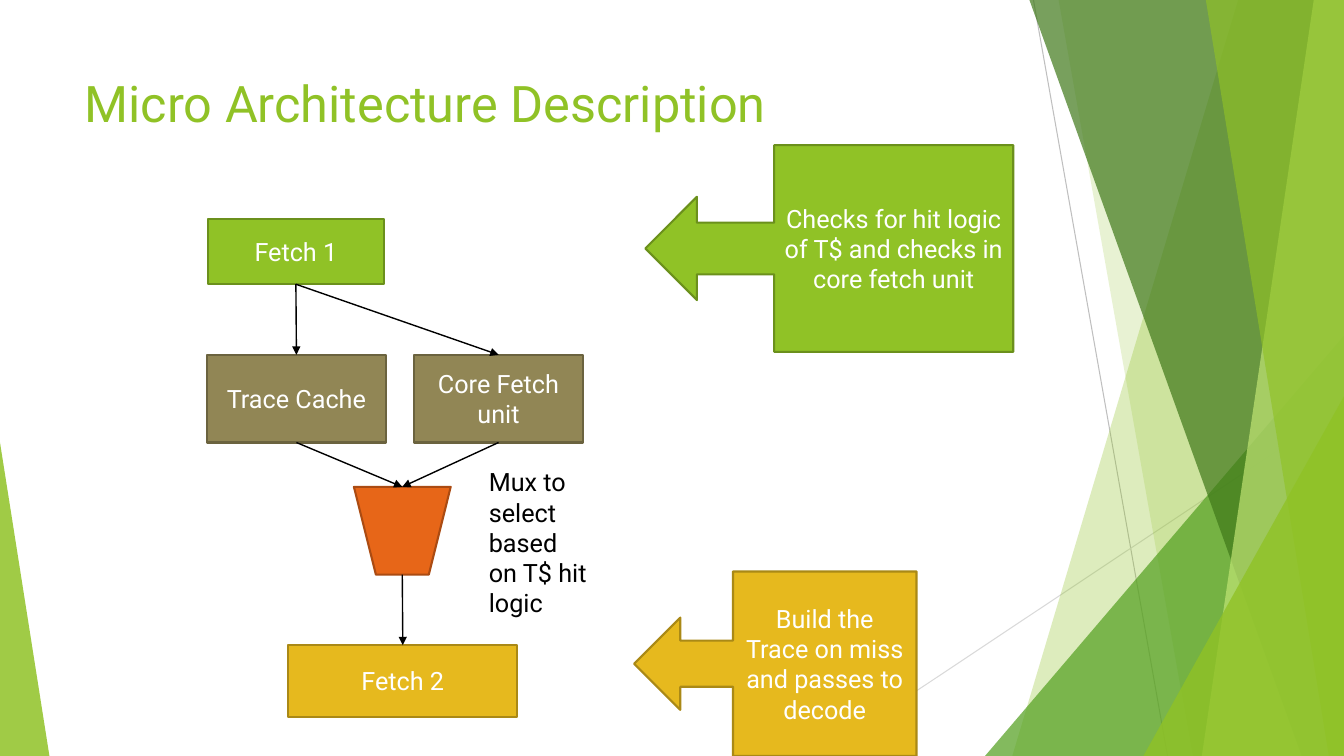
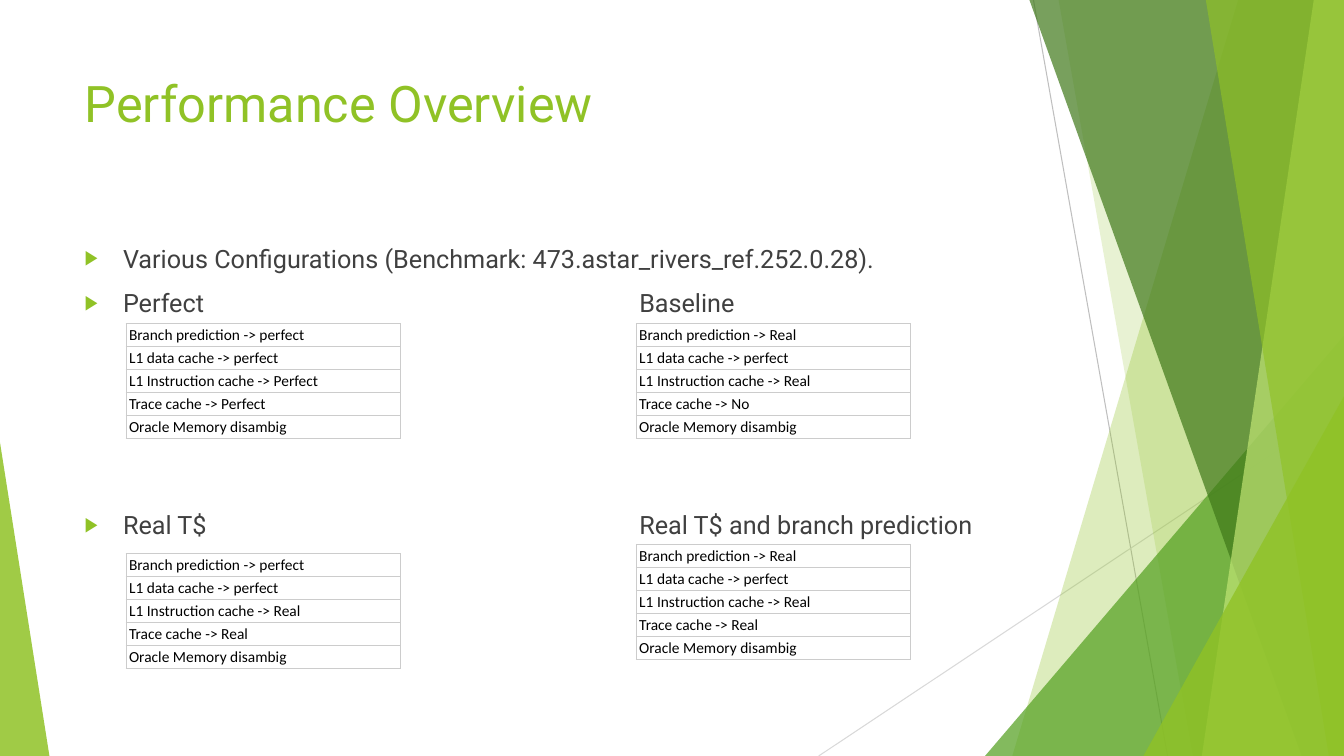
from lxml.etree import SubElement
from pptx import Presentation
from pptx.dml.color import RGBColor
from pptx.enum.shapes import MSO_CONNECTOR, MSO_SHAPE
from pptx.enum.text import MSO_ANCHOR, MSO_AUTO_SIZE, PP_ALIGN
from pptx.oxml.ns import qn
from pptx.util import Inches, Pt

STRAIGHT = MSO_CONNECTOR.STRAIGHT
RECTANGLE = MSO_SHAPE.RECTANGLE
TRAPEZOID = MSO_SHAPE.TRAPEZOID
CALLOUT = MSO_SHAPE.LEFT_ARROW_CALLOUT
TRIANGLE = MSO_SHAPE.ISOSCELES_TRIANGLE
TOP, MIDDLE, BOTTOM = MSO_ANCHOR.TOP, MSO_ANCHOR.MIDDLE, MSO_ANCHOR.BOTTOM
LEFT, CENTER = PP_ALIGN.LEFT, PP_ALIGN.CENTER
NO_AUTOFIT = MSO_AUTO_SIZE.NONE

WIDTH, HEIGHT = 13.33, 7.5
TITLE_ONLY, TITLE_AND_CONTENT = 5, 1
TOP_SITE, BOTTOM_SITE = 0, 2
FONT, TABLE_FONT = "Roboto", "Calibri"
GREEN, WHITE, BLACK, BODY_GREY = "90C226", "FFFFFF", "000000", "404040"
BORDER_GREY = "CCCCCC"

# fill and outline of the diagram shapes
LIME = (GREEN, "6B901C")
OLIVE = ("918655", "6B633F")
ORANGE = ("E76618", "AB4B12")
GOLD = ("E6B91E", "AA8916")

# Backdrop, from back to front
HAIRLINES = [  # start, end, colour
    ((10.25, 0), (11.58, HEIGHT), "BFBFBF"),
    ((WIDTH, 4.03), (8.12, HEIGHT), "D9D9D9"),
]
FACETS = [  # bands: top x, bottom x; triangles: place and apex; colour, opacity %
    ("band", (12.28, 10.04), GREEN, 30),
    ("band", (10.5, 11.83), GREEN, 20),
    ("triangle", (9.77, 3.33, 3.56, 4.17, 1), "54A021", 72),
    ("band", (10.21, 12.91), "3F7819", 70),
    ("band", (13.03, 11.92), "C0E474", 70),
    ("band", (11.96, 13.18), GREEN, 65),
    ("triangle", (11.34, 3.93, 1.99, 3.57, 1), GREEN, 80),
    ("triangle", (0, 4.39, 0.49, 3.11, 0), GREEN, 85),
]

STAGES = {  # shape, place, colours, text
    "fetch 1": (RECTANGLE, (2.06, 2.17, 1.75, 0.65), LIME, "Fetch 1"),
    "trace cache": (RECTANGLE, (2.05, 3.52, 1.78, 0.87), OLIVE, "Trace Cache"),
    "core fetch": (RECTANGLE, (4.11, 3.52, 1.67, 0.87), OLIVE, "Core Fetch unit"),
    "mux": (TRAPEZOID, (3.51, 4.83, 0.96, 0.87), ORANGE, ""),
    "fetch 2": (RECTANGLE, (2.86, 6.4, 2.27, 0.71), GOLD, "Fetch 2"),
}
FLOWS = [
    ("fetch 1", "trace cache"),
    ("fetch 1", "core fetch"),
    ("trace cache", "mux"),
    ("core fetch", "mux"),
    ("mux", "fetch 2"),
]
MUX_NOTE = "Mux to select based on T$ hit logic"
CALLOUTS = [
    (CALLOUT, (6.4, 1.44, 3.65, 2.05), LIME,
     "Checks for hit logic of T$ and checks in core fetch unit"),
    (CALLOUT, (6.29, 5.67, 2.8, 1.83), GOLD,
     "Build the Trace on miss and passes to decode"),
]

BULLETS = [  # text, space before in points
    ("Various Configurations (Benchmark: 473.astar_rivers_ref.252.0.28).", 10),
    ("Perfect\tBaseline", 10),
    ("Real T$\tReal T$ and branch prediction", 137),
]
SETTINGS = ["Branch prediction -> {}", "L1 data cache -> {}",
            "L1 Instruction cache -> {}", "Trace cache -> {}",
            "Oracle Memory disambig"]
CONFIGURATIONS = [  # left, top, value of each setting
    (1.25, 3.21, ("perfect", "perfect", "Perfect", "Perfect", "")),
    (1.25, 5.49, ("perfect", "perfect", "Real", "Real", "")),
    (6.31, 3.21, ("Real", "perfect", "Real", "No", "")),
    (6.31, 5.4, ("Real", "perfect", "Real", "Real", "")),
]
TABLE_WIDTH, ROW_HEIGHT = 2.72, 0.22


def rgb(colour):
    return RGBColor.from_string(colour)


def inches(values):
    return [Inches(value) for value in values]


def style(para, size, colour, align=LEFT, font=FONT):
    para.alignment = align
    para.font.size = Pt(size)
    para.font.name = font
    para.font.color.rgb = rgb(colour)


def place(shape, position):
    shape.left, shape.top, shape.width, shape.height = inches(position)


def add_line(slide, start, end, colour, width):
    """Draw a shadowless straight line between two points in EMU."""
    line = slide.shapes.add_connector(STRAIGHT, *start, *end)
    line.line.color.rgb = rgb(colour)
    line.line.width = Pt(width)
    SubElement(line.element.spPr, qn("a:effectLst"))
    return line


def add_facet(slide, kind, geometry, colour, opacity):
    if kind == "band":
        top_x, bottom_x = geometry
        corners = [(top_x, 0), (WIDTH, 0), (WIDTH, HEIGHT), (bottom_x, HEIGHT)]
        points = [inches(corner) for corner in corners]
        builder = slide.shapes.build_freeform(*points[0], scale=1.0)
        builder.add_line_segments(points[1:], close=True)
        facet = builder.convert_to_shape()
    else:
        *position, apex = geometry
        facet = slide.shapes.add_shape(TRIANGLE, *inches(position))
        facet.adjustments[0] = apex
    facet.shadow.inherit = False
    facet.line.fill.background()
    facet.fill.solid()
    facet.fill.fore_color.rgb = rgb(colour)
    tint = facet.element.spPr.find(".//" + qn("a:srgbClr"))
    SubElement(tint, qn("a:alpha"), val=str(opacity * 1000))
    return facet


def move_backdrop_to_master(deck, slide):
    """Build the backdrop with the slide's drawing methods, then hang it on the master."""
    parts = [add_line(slide, inches(start), inches(end), colour, 0.75)
             for start, end, colour in HAIRLINES]
    parts += [add_facet(slide, *facet) for facet in FACETS]
    tree = deck.slide_master.element.cSld.spTree
    for index, part in enumerate(parts):
        part.element.xpath(".//p:cNvPr")[0].set("id", str(100 + index))
        tree.insert(2 + index, part.element)


def add_slide(deck, layout, title):
    slide = deck.slides.add_slide(deck.slide_layouts[layout])
    box = slide.shapes.title
    place(box, (0.74, 0.67, 9.4, 1.44))
    box.text_frame.text = title
    box.text_frame.vertical_anchor = TOP
    box.text_frame.auto_size = NO_AUTOFIT
    style(box.text_frame.paragraphs[0], 36, GREEN)
    return slide


def add_box(slide, kind, position, colours, text):
    fill, outline = colours
    box = slide.shapes.add_shape(kind, *inches(position))
    box.shadow.inherit = False
    box.fill.solid()
    box.fill.fore_color.rgb = rgb(fill)
    box.line.color.rgb = rgb(outline)
    box.line.width = Pt(1.5)
    if text:
        box.text_frame.text = text
        box.text_frame.vertical_anchor = MIDDLE
        style(box.text_frame.paragraphs[0], 18, WHITE, CENTER)
    return box


def add_flow(slide, source, target):
    """Arrow from the bottom of source to the top of target, glued to both."""
    start = source.left + source.width // 2, source.top + source.height
    end = target.left + target.width // 2, target.top
    arrow = add_line(slide, start, end, BLACK, 1)
    SubElement(arrow.element.spPr.find(qn("a:ln")), qn("a:tailEnd"), type="triangle")
    # A shape turned upside down has its sites swapped
    arrow.begin_connect(source, TOP_SITE if source.rotation else BOTTOM_SITE)
    arrow.end_connect(target, BOTTOM_SITE if target.rotation else TOP_SITE)
    arrow.begin_x, arrow.begin_y = start
    arrow.end_x, arrow.end_y = end


def add_bullet(para, text, space_before):
    para.text = text
    properties = para._p.get_or_add_pPr()
    properties.set("marL", str(Inches(0.38)))
    properties.set("indent", str(-Inches(0.38)))
    SubElement(SubElement(properties, qn("a:buClr")), qn("a:srgbClr"), val=GREEN)
    SubElement(properties, qn("a:buSzPct"), val="80000")
    SubElement(properties, qn("a:buChar"), char="▶")
    tabs = SubElement(properties, qn("a:tabLst"))
    SubElement(tabs, qn("a:tab"), pos=str(Inches(5.5)), algn="l")
    para.space_before = Pt(space_before)
    style(para, 18, BODY_GREY)


def format_cell(cell, text):
    cell.text = text
    cell.vertical_anchor = BOTTOM
    cell.margin_left = cell.margin_right = Inches(0.03)
    cell.margin_top = cell.margin_bottom = Inches(0.02)
    style(cell.text_frame.paragraphs[0], 11, BLACK, font=TABLE_FONT)
    properties = cell._tc.get_or_add_tcPr()
    for side in ("lnL", "lnR", "lnT", "lnB"):
        border = SubElement(properties, qn("a:" + side), w=str(Pt(0.6)))
        SubElement(SubElement(border, qn("a:solidFill")), qn("a:srgbClr"), val=BORDER_GREY)
    cell.fill.background()


def add_configuration(slide, left, top, values):
    count = len(SETTINGS)
    position = inches((left, top, TABLE_WIDTH, ROW_HEIGHT * count))
    table = slide.shapes.add_table(count, 1, *position).table
    table.first_row = table.horz_banding = False
    for row, (setting, value) in enumerate(zip(SETTINGS, values)):
        table.rows[row].height = Inches(ROW_HEIGHT)
        format_cell(table.cell(row, 0), setting.format(value))


def fill_architecture(slide):
    boxes = {name: add_box(slide, *stage) for name, stage in STAGES.items()}
    boxes["mux"].rotation = 180
    for source, target in FLOWS:
        add_flow(slide, boxes[source], boxes[target])
    note = slide.shapes.add_textbox(*inches((4.75, 4.58, 1.21, 1.62))).text_frame
    note.word_wrap = True
    note.text = MUX_NOTE
    style(note.paragraphs[0], 18, BLACK)
    for callout in CALLOUTS:
        add_box(slide, *callout)


def fill_performance(slide):
    body = slide.placeholders[1]
    place(body, (0.74, 2.36, 9.4, 4.24))
    frame = body.text_frame
    frame.auto_size = NO_AUTOFIT
    for index, (text, space_before) in enumerate(BULLETS):
        para = frame.add_paragraph() if index else frame.paragraphs[0]
        add_bullet(para, text, space_before)
    for configuration in CONFIGURATIONS:
        add_configuration(slide, *configuration)


def main():
    deck = Presentation()
    deck.slide_width, deck.slide_height = inches((WIDTH, HEIGHT))
    architecture = add_slide(deck, TITLE_ONLY, "Micro Architecture Description")
    move_backdrop_to_master(deck, architecture)
    fill_architecture(architecture)
    fill_performance(add_slide(deck, TITLE_AND_CONTENT, "Performance Overview"))
    deck.save("out.pptx")


if __name__ == "__main__":
    main()
